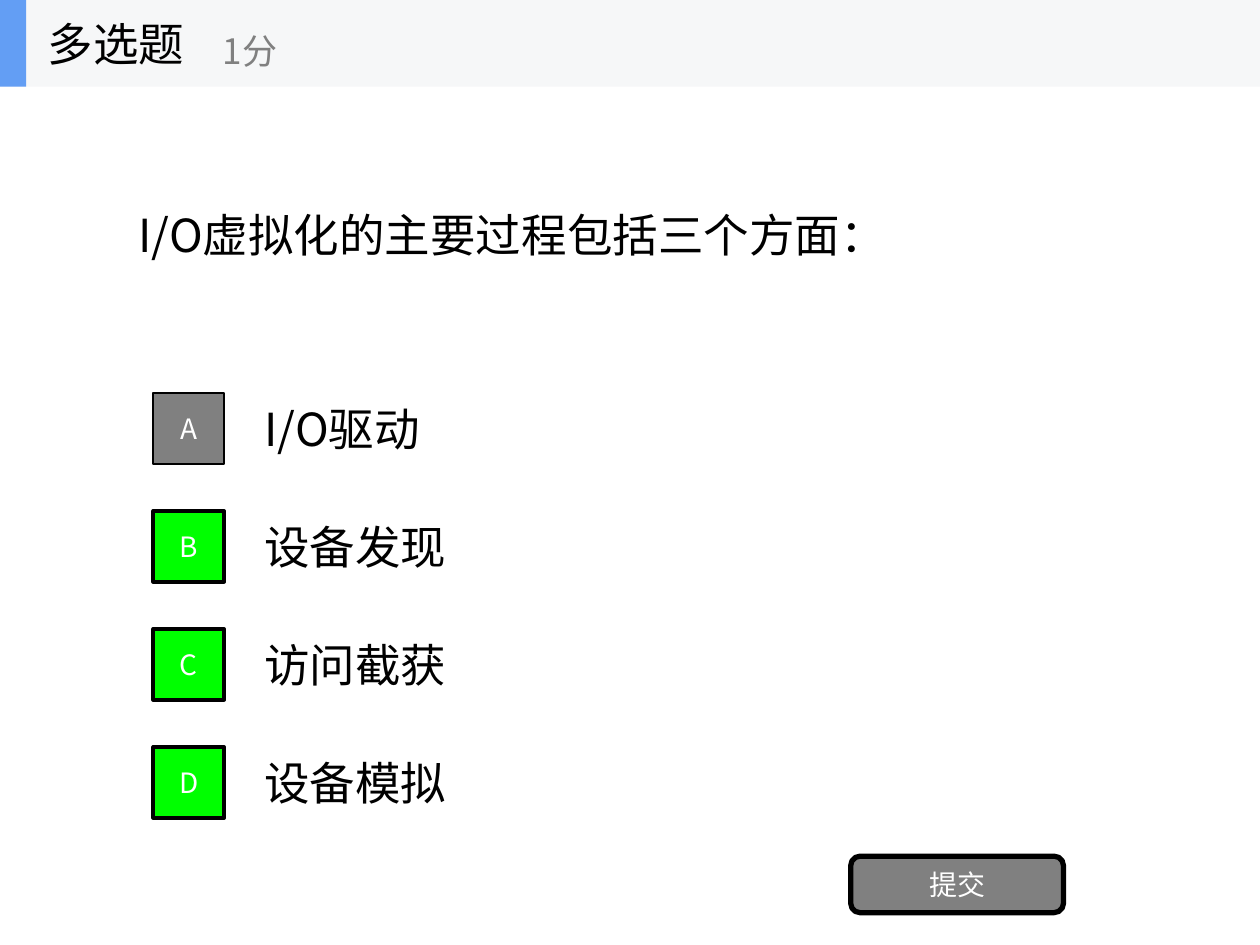
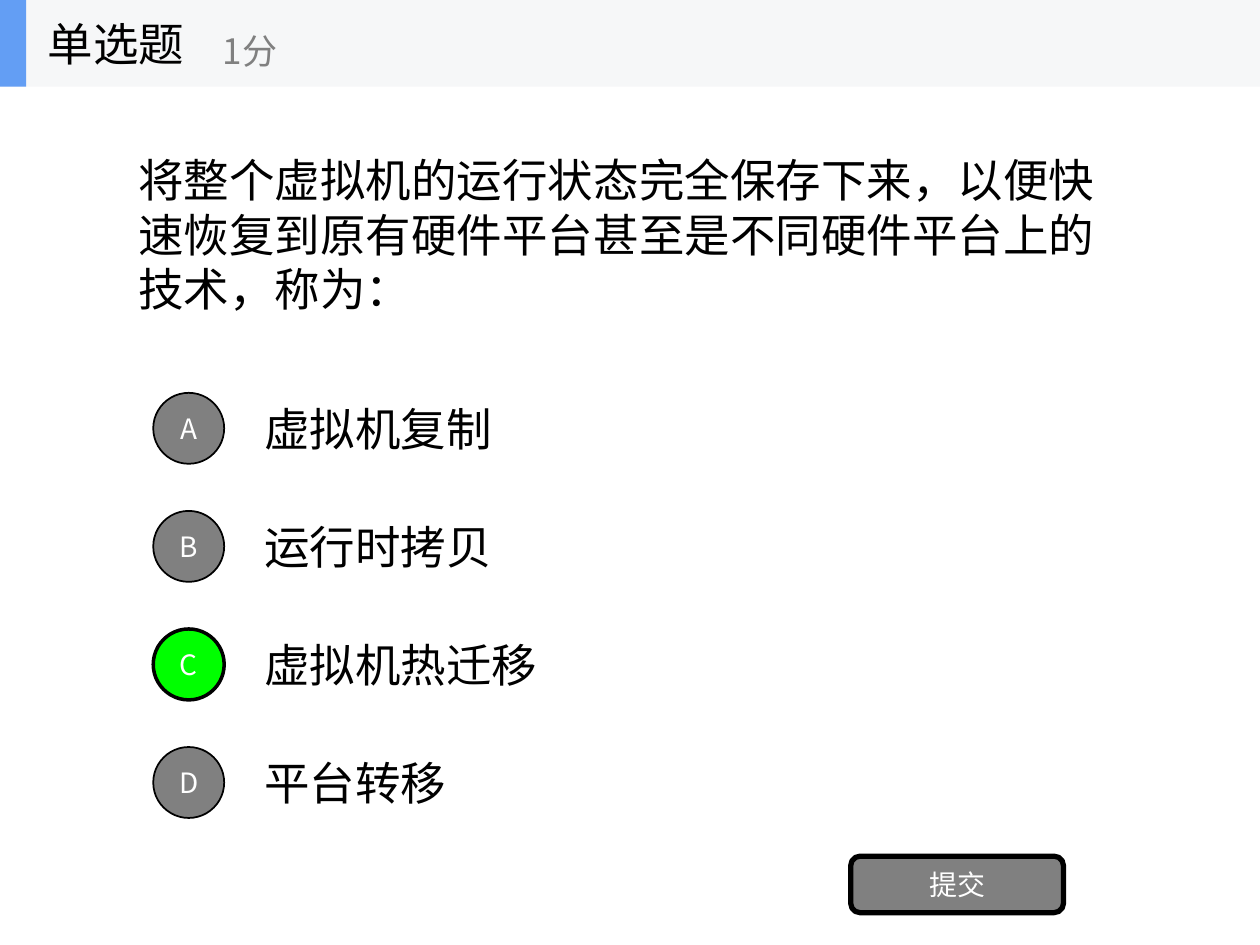
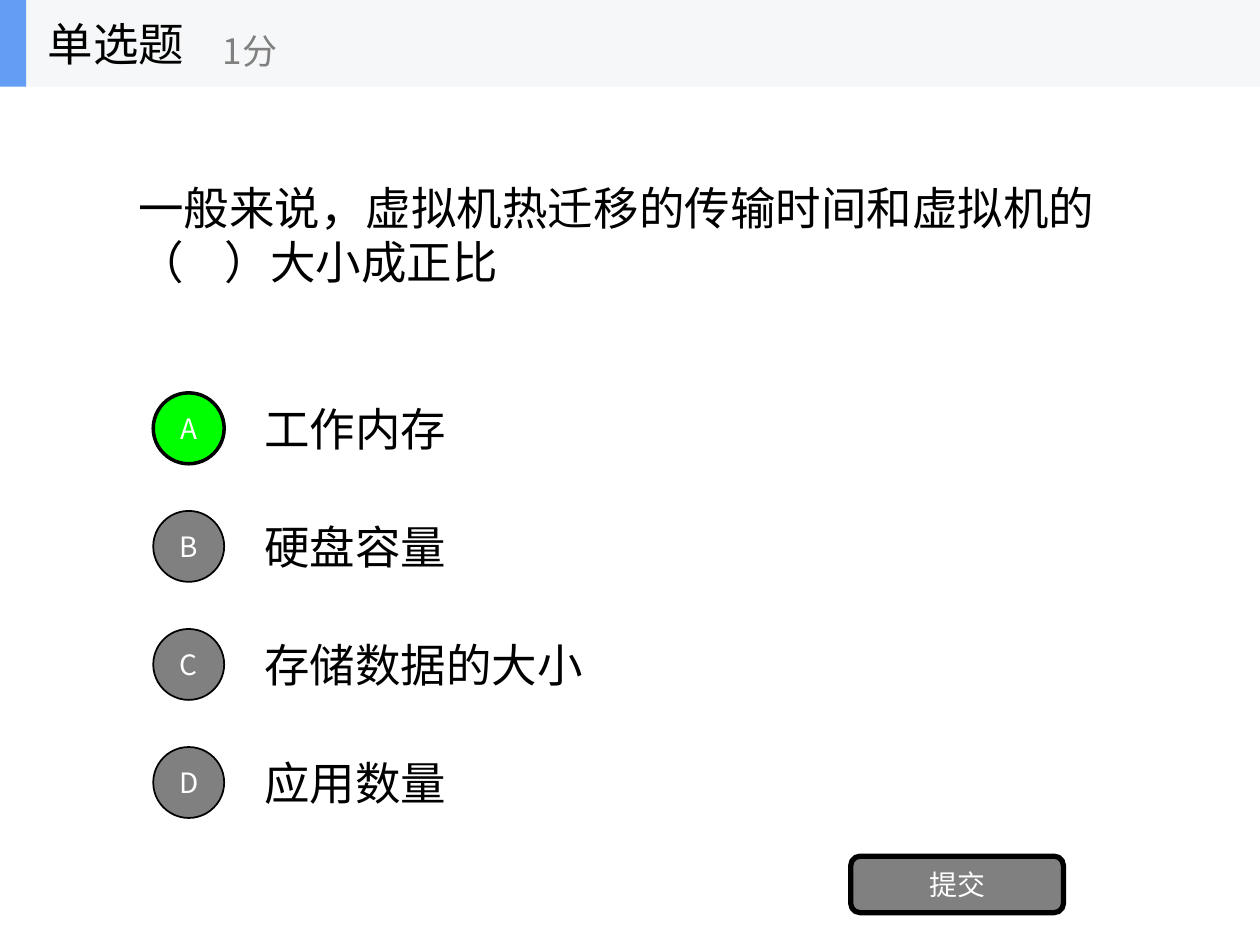
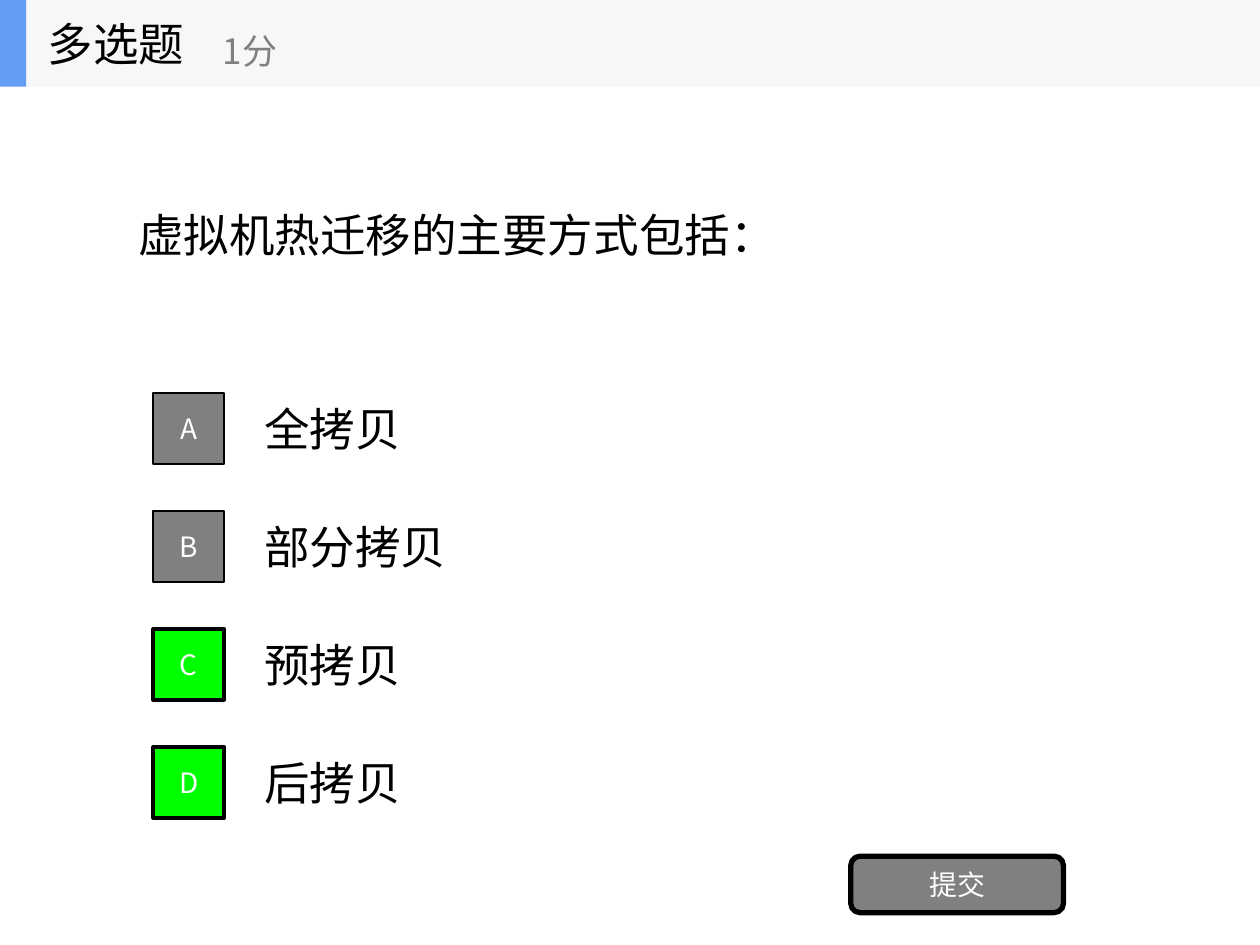
"""Build four quiz slides on virtualization with one shared style."""
from lxml import etree
from pptx import Presentation
from pptx import util as u
from pptx.dml.color import RGBColor
from pptx.enum import shapes, text
from pptx.oxml.ns import qn

COLORS = {"ink": "000000", "white": "FFFFFF", "gray": "808080",
          "right": "00FF00", "band": "F6F7F8", "accent": "639EF4"}
FONT = "Noto Sans CJK SC"
WIDTH, HEIGHT, BAND_H = 25.4, 19.05, 1.75
OPTION_TOP, OPTION_H, OPTION_STEP = 7.74, 1.79, 2.38
MARKER = 1.43
RECT = shapes.MSO_SHAPE.RECTANGLE
OVAL = shapes.MSO_SHAPE.OVAL
ROUNDED = shapes.MSO_SHAPE.ROUNDED_RECTANGLE
KINDS = {"多选题": RECT, "单选题": OVAL}

QUIZ = [
    ("多选题", "I/O虚拟化的主要过程包括三个方面：",
     ["I/O驱动", "设备发现", "访问截获", "设备模拟"], "BCD"),
    ("单选题", "将整个虚拟机的运行状态完全保存下来，以便快速恢复到原有硬件平台"
     "甚至是不同硬件平台上的技术，称为：",
     ["虚拟机复制", "运行时拷贝", "虚拟机热迁移", "平台转移"], "C"),
    ("单选题", "一般来说，虚拟机热迁移的传输时间和虚拟机的（    ）大小成正比",
     ["工作内存", "硬盘容量", "存储数据的大小", "应用数量"], "A"),
    ("多选题", "虚拟机热迁移的主要方式包括：",
     ["全拷贝", "部分拷贝", "预拷贝", "后拷贝"], "CD"),
]


def rgb(name):
    return RGBColor.from_string(COLORS[name])


class Deck:
    def __init__(self):
        self.prs = Presentation()
        self.prs.slide_width, self.prs.slide_height = u.Cm(WIDTH), u.Cm(HEIGHT)
        self.s = None

    def label(self, sp, words, size=26, color="ink", wrap=True,
              align=text.PP_ALIGN.LEFT):
        tf = sp.text_frame
        frame = {"auto_size": text.MSO_AUTO_SIZE.NONE, "word_wrap": wrap,
                 "vertical_anchor": text.MSO_ANCHOR.MIDDLE}
        for key, value in frame.items():
            setattr(tf, key, value)
        p = tf.paragraphs[0]
        p.alignment = align
        r = p.add_run()
        r.text = words
        for key, value in {"name": FONT, "size": u.Pt(size), "bold": False}.items():
            setattr(r.font, key, value)
        r.font.color.rgb = rgb(color)
        etree.SubElement(r.font._element, qn("a:ea"), typeface=FONT)

    def textbox(self, words, box, parent=None, **style):
        sp = (parent or self.s).shapes.add_textbox(*map(u.Cm, box))
        self.label(sp, words, **style)

    def shape(self, kind, box, fill, line=0, words="", parent=None):
        sp = (parent or self.s).shapes.add_shape(kind, *map(u.Cm, box))
        sp.shadow.inherit = False
        sp.fill.solid()
        sp.fill.fore_color.rgb = rgb(fill)
        if line:
            sp.line.color.rgb = rgb("ink")
            sp.line.width = u.Pt(line)
        else:
            sp.line.fill.background()
        if words:
            self.label(sp, words, 16, "white", align=text.PP_ALIGN.CENTER)

    def title(self, words):
        sp = self.s.shapes.title
        box = {"left": 0.71, "top": 0, "width": 5.28, "height": BAND_H}
        for key, value in box.items():
            setattr(sp, key, u.Cm(value))
        self.label(sp, words, wrap=False)
        sp.element.getparent().append(sp.element)

    def header(self, kind):
        band = self.s.shapes.add_group_shape()
        self.shape(RECT, (0, 0, WIDTH, BAND_H), "band", parent=band)
        self.shape(RECT, (0, 0, 0.53, BAND_H), "accent", parent=band)
        self.textbox("1分", (4.24, 0.3, 6.35, 1.43), band,
                     size=20, color="gray", wrap=False)
        self.title(kind)

    def options(self, kind, options, answer):
        rows = [(letter, words, OPTION_TOP + i * OPTION_STEP)
                for i, (letter, words) in enumerate(zip("ABCD", options))]
        for _, words, top in rows:
            self.textbox(words, (5.08, top, 17.78, OPTION_H))
        for letter, _, top in rows:
            fill, line = ("right", 2) if letter in answer else ("gray", 1)
            box = (3.09, top + (OPTION_H - MARKER) / 2, MARKER, MARKER)
            self.shape(KINDS[kind], box, fill, line, letter)

    def question(self, kind, words, options, answer):
        self.s = self.prs.slides.add_slide(self.prs.slide_layouts[5])
        self.textbox(words, (2.54, BAND_H, 20.32, 5.94))
        self.options(kind, options, answer)
        self.shape(ROUNDED, (17.15, 17.26, 4.29, 1.14), "gray", 3, "提交")
        self.header(kind)


def main():
    deck = Deck()
    for item in QUIZ:
        deck.question(*item)
    deck.prs.save("out.pptx")


if __name__ == "__main__":
    main()
